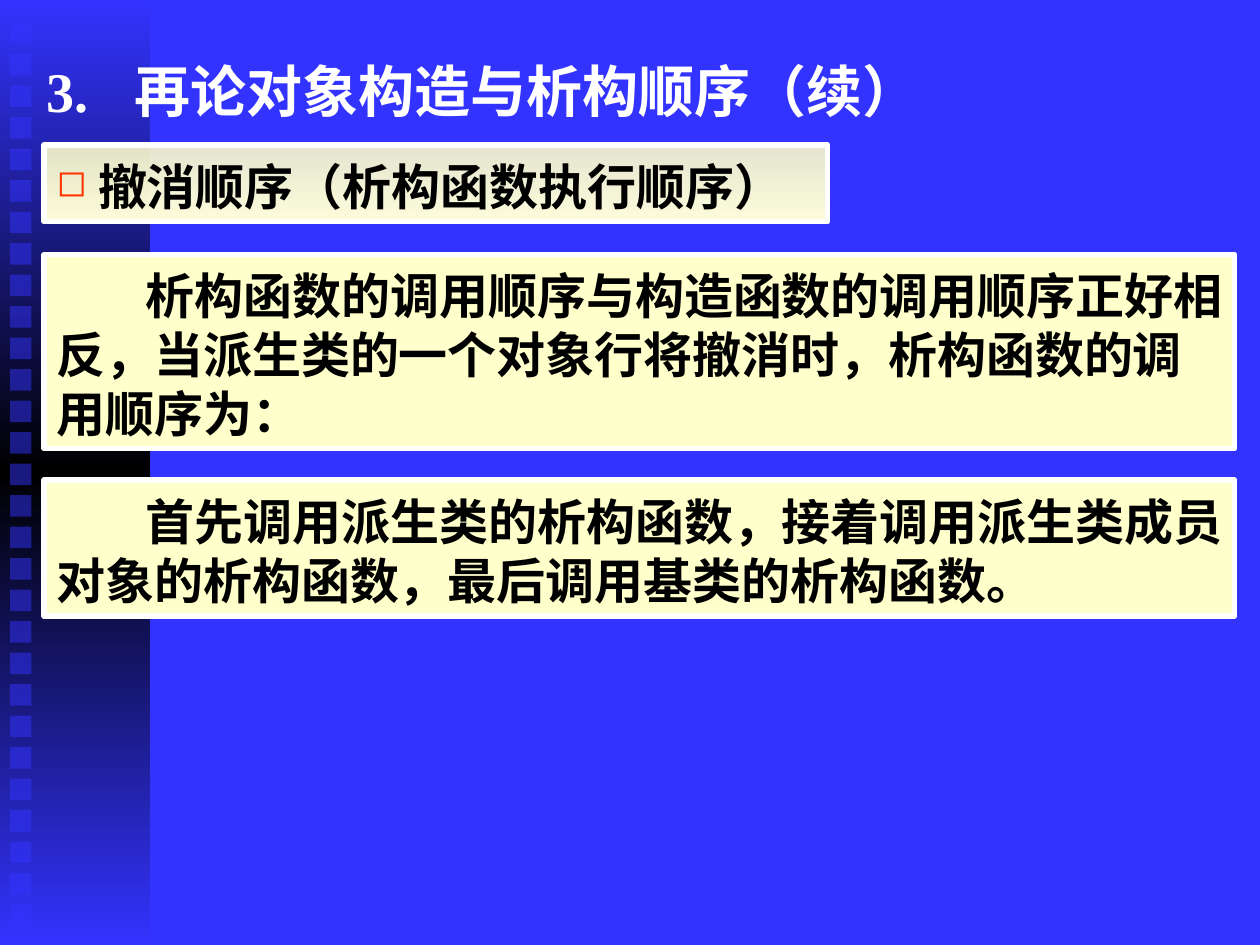
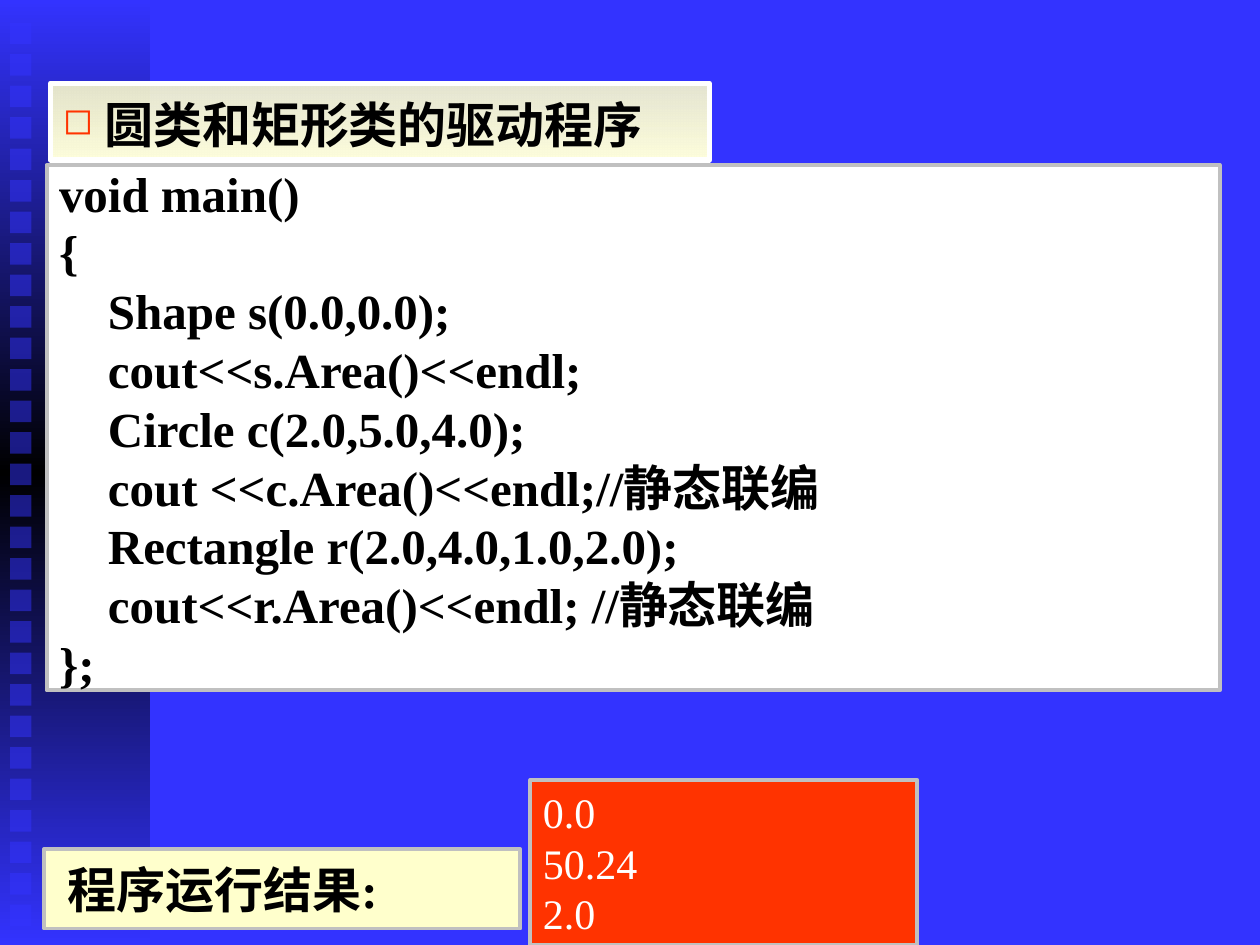
"""Build two slides on destructor order and a static binding example."""
from lxml.etree import SubElement
from pptx import Presentation
from pptx.dml.color import RGBColor
from pptx.enum.shapes import MSO_SHAPE
from pptx.enum.text import MSO_ANCHOR, MSO_AUTO_SIZE, PP_ALIGN
from pptx.oxml import parse_xml
from pptx.oxml.ns import nsdecls, qn
from pptx.util import Inches, Pt

BLUE = RGBColor(0x33, 0x33, 0xFF)
BLACK = RGBColor(0, 0, 0)
WHITE = RGBColor(0xFF, 0xFF, 0xFF)
CREAM = RGBColor(0xFF, 0xFF, 0xCC)
PALE_CREAM = RGBColor(0xFF, 0xFF, 0xDB)
SILVER = RGBColor(0xC0, 0xC0, 0xC0)
RED = RGBColor(0xFF, 0x33, 0x00)
FONT = "Times New Roman"
LINE_FACTOR = 1.2

BAND_STOPS = [(0, BLUE, 100), (50, BLACK, 100), (100, BLUE, 100)]
HEADING_STOPS = [(0, CREAM, 87), (100, PALE_CREAM, 100)]
SQUARES, SQUARE_SIZE, SQUARE_PITCH = 29, 0.17, 0.25

STYLES = {
    "heading": dict(fill=HEADING_STOPS, line=WHITE, weight=3, top=0.09, grow=True,
                    margin=0.33, indent=-0.33, bullet="◻"),
    "note": dict(fill=CREAM, line=WHITE, weight=3, top=0.09, grow=True, indent=0.71),
    "code": dict(fill=WHITE, line=SILVER, weight=2.25, wrap=False),
    "label": dict(fill=CREAM, line=SILVER, weight=2.25, margin=0.09),
    "output": dict(fill=RED, line=SILVER, weight=2.25, wrap=False,
                   size=24, color=WHITE, bold=False),
}

TITLE = ("3.", "再论对象构造与析构顺序（续）")
CODE = """void main()
{
    Shape s(0.0,0.0);
    cout<<s.Area()<<endl;
    Circle c(2.0,5.0,4.0);
    cout <<c.Area()<<endl;//静态联编
    Rectangle r(2.0,4.0,1.0,2.0);
    cout<<r.Area()<<endl; //静态联编
};"""
SLIDES = [
    (TITLE, [
        ("heading", (0.35, 1.15, 6.22, 0.61), ["撤消顺序（析构函数执行顺序）"]),
        ("note", (0.35, 2.02, 9.45, 1.54),
         ["析构函数的调用顺序与构造函数的调用顺序正好相反，"
          "当派生类的一个对象行将撤消时，析构函数的调用顺序为："]),
        ("note", (0.35, 3.81, 9.45, 1.08),
         ["首先调用派生类的析构函数，接着调用派生类成员对象的析构函数，"
          "最后调用基类的析构函数。"]),
    ]),
    (None, [
        ("heading", (0.4, 0.66, 5.23, 0.61), ["圆类和矩形类的驱动程序"]),
        ("code", (0.37, 1.31, 9.31, 4.17), CODE.split("\n")),
        ("label", (0.35, 6.74, 3.78, 0.63), ["程序运行结果:"]),
        ("output", (4.21, 6.19, 3.07, 1.31), ["0.0", "50.24", "2.0"]),
    ]),
]


def set_all(obj, **values):
    for name, value in values.items():
        setattr(obj, name, value)


def add_box(slide, at, fill):
    sp = slide.shapes.add_shape(MSO_SHAPE.RECTANGLE, *map(Inches, at))
    sp.shadow.inherit = False
    sp.line.fill.background()
    if isinstance(fill, list):
        stops = "".join(
            f'<a:gs pos="{pos * 1000}"><a:srgbClr val="{color}">'
            f'<a:alpha val="{alpha * 1000}"/></a:srgbClr></a:gs>'
            for pos, color, alpha in fill)
        grad = parse_xml(f'<a:gradFill {nsdecls("a")} rotWithShape="1"><a:gsLst>{stops}'
                         '</a:gsLst><a:lin ang="5400000" scaled="1"/></a:gradFill>')
        sp._element.spPr.find(qn("a:prstGeom")).addnext(grad)
    else:
        sp.fill.solid()
        sp.fill.fore_color.rgb = fill
    return sp


def add_band(slide):
    add_box(slide, (0, 0, 1.19, 7.5), BAND_STOPS)
    for i in range(SQUARES):
        at = (0.08, 0.18 + i * SQUARE_PITCH, SQUARE_SIZE, SQUARE_SIZE)
        sp = add_box(slide, at, BLUE)
        color = sp._element.spPr.find(f'{qn("a:solidFill")}/{qn("a:srgbClr")}')
        SubElement(color, qn("a:alpha"), val="50000")


def add_run(p, text, size, color, bold):
    r = p.add_run()
    r.text = text
    set_all(r.font, name=FONT, size=Pt(size), bold=bold)
    r.font.color.rgb = color


def add_title(slide, title):
    number, text = title
    tb = slide.shapes.add_textbox(*map(Inches, (0.27, 0.24, 9.37, 0.91)))
    set_all(tb.text_frame, word_wrap=True, vertical_anchor=MSO_ANCHOR.MIDDLE)
    p = tb.text_frame.paragraphs[0]
    tabs = SubElement(p._p.get_or_add_pPr(), qn("a:tabLst"))
    SubElement(tabs, qn("a:tab"), pos=str(Inches(0.7)), algn="l")
    p.line_spacing = Pt(36 * LINE_FACTOR)
    for part, size in ((number, 32), ("\t", 36), (text, 32)):
        add_run(p, part, size, WHITE, True)


def add_bullet(pPr, char):
    color = SubElement(pPr, qn("a:buClr"))
    SubElement(color, qn("a:srgbClr"), val=str(RED))
    SubElement(pPr, qn("a:buSzPct"), val="75000")
    SubElement(pPr, qn("a:buChar"), char=char)


def add_panel(slide, kind, at, lines):
    style = STYLES[kind]
    grow = style.get("grow", False)
    size = style.get("size", 28)
    sp = add_box(slide, at, style["fill"])
    sp.line.color.rgb = style["line"]
    sp.line.width = Pt(style["weight"])
    tf = sp.text_frame
    set_all(tf, word_wrap=style.get("wrap", True),
            margin_top=Inches(style.get("top", 0.05)),
            vertical_anchor=MSO_ANCHOR.TOP if grow else MSO_ANCHOR.MIDDLE,
            auto_size=MSO_AUTO_SIZE.SHAPE_TO_FIT_TEXT if grow else MSO_AUTO_SIZE.NONE)
    for i, line in enumerate(lines):
        p = tf.add_paragraph() if i else tf.paragraphs[0]
        pPr = p._p.get_or_add_pPr()
        pPr.set("marL", str(Inches(style.get("margin", 0))))
        pPr.set("indent", str(Inches(style.get("indent", 0))))
        if "bullet" in style:
            add_bullet(pPr, style["bullet"])
        set_all(p, alignment=PP_ALIGN.LEFT, line_spacing=Pt(size * LINE_FACTOR))
        add_run(p, line, size, style.get("color", BLACK), style.get("bold", True))


def main():
    prs = Presentation()
    set_all(prs, slide_width=Inches(10), slide_height=Inches(7.5))
    background = prs.slide_master.background.fill
    background.solid()
    background.fore_color.rgb = BLUE
    for title, panels in SLIDES:
        slide = prs.slides.add_slide(prs.slide_layouts[6])
        add_band(slide)
        if title:
            add_title(slide, title)
        for panel in panels:
            add_panel(slide, *panel)
    prs.save("out.pptx")


if __name__ == "__main__":
    main()
